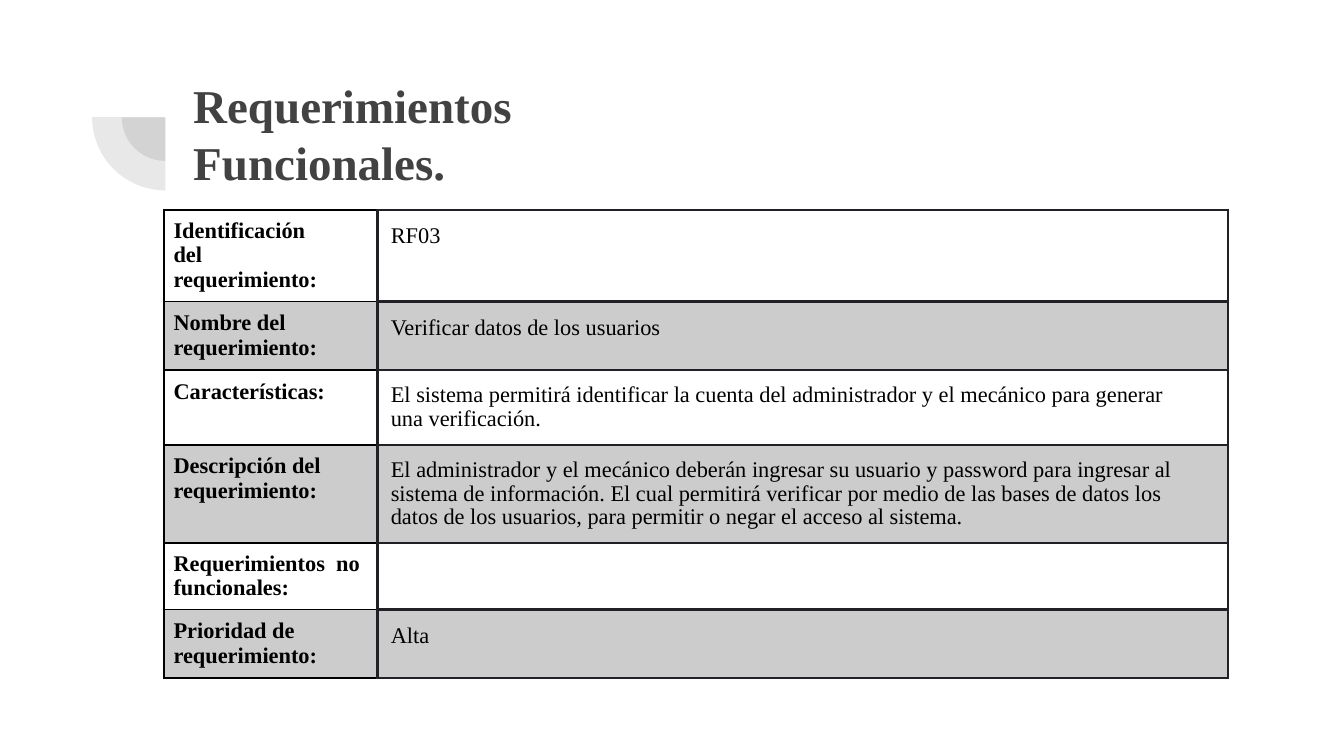
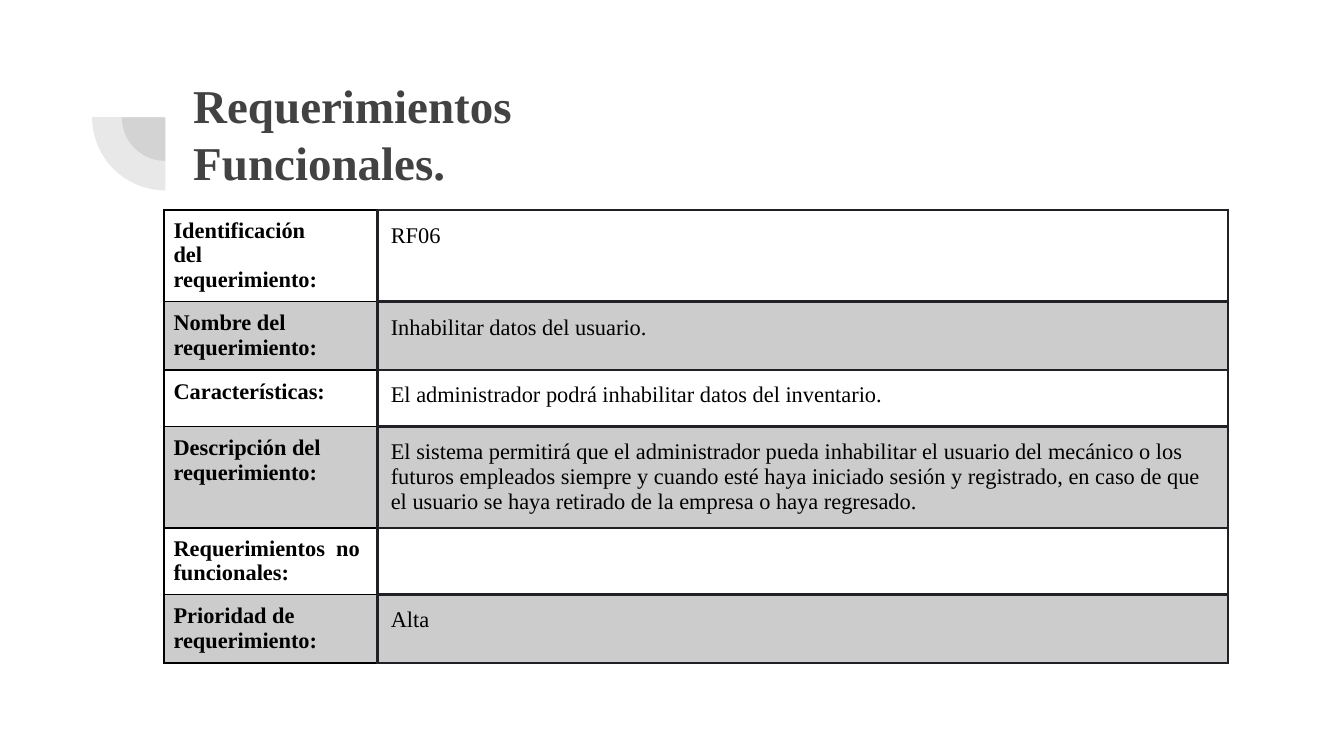
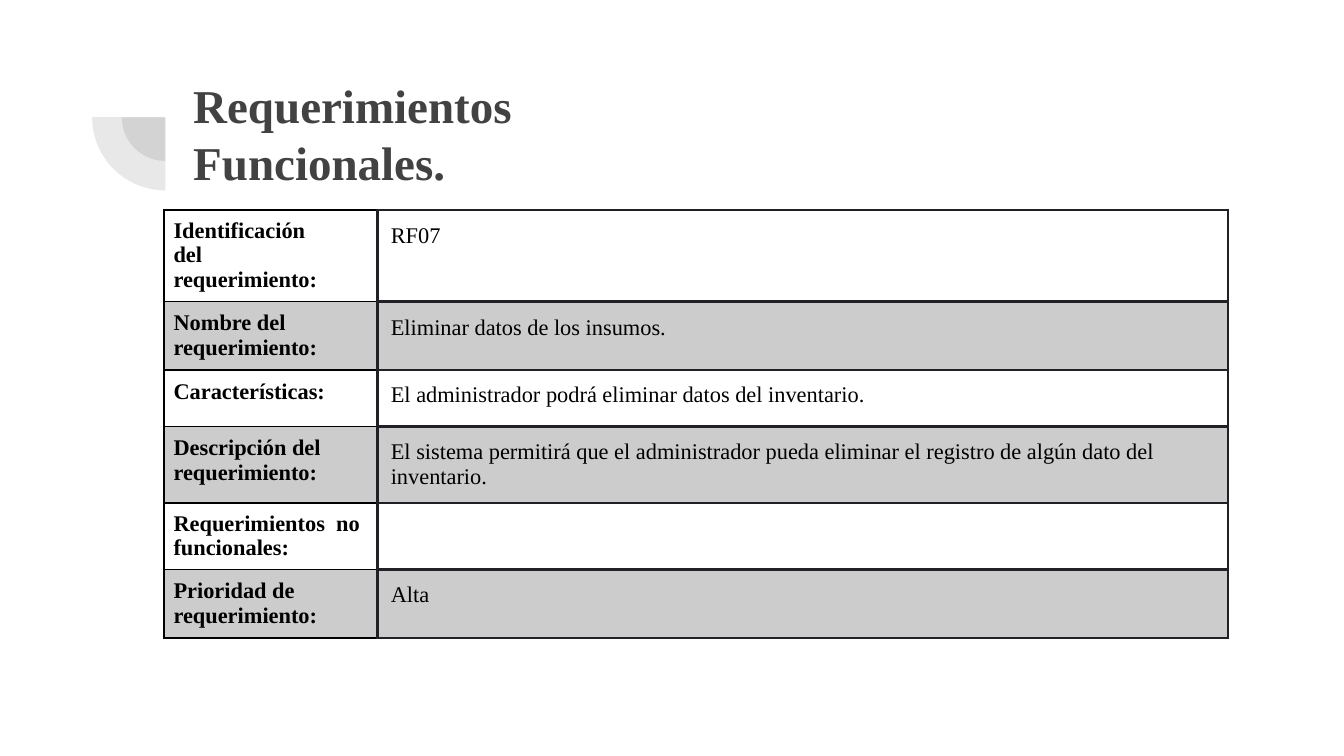
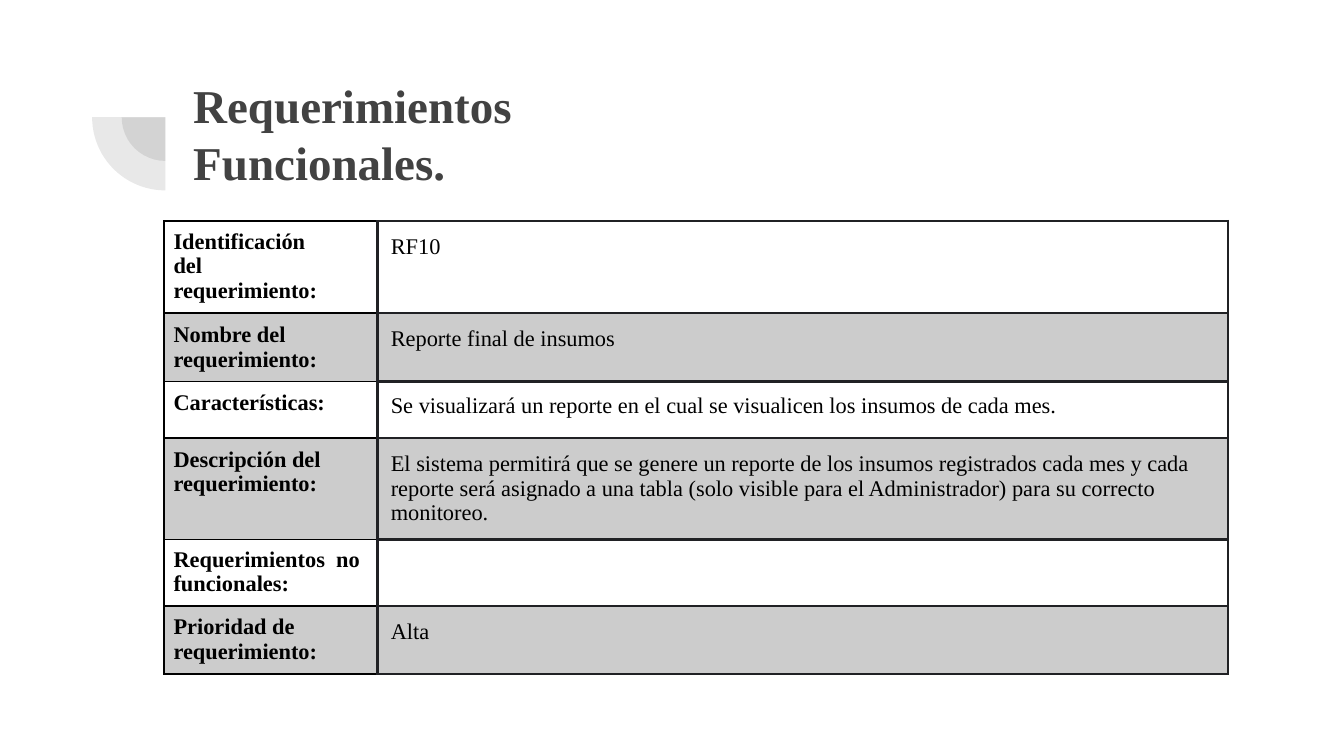
from lxml import etree
from pptx import Presentation
from pptx.dml.color import RGBColor
from pptx.enum.shapes import MSO_SHAPE
from pptx.enum.text import MSO_ANCHOR, MSO_AUTO_SIZE, PP_ALIGN
from pptx.oxml.ns import qn
from pptx.util import Pt

COLORS = {"title": "424242", "text": "000000", "band": "CCCCCC",
          "outer": "000000", "inner": "202124"}
FONT = "Times New Roman"
TITLE = ["Requerimientos", "Funcionales."]
TIGHT = 0.96

# Paragraphs of each row label
LABELS = [
    ["Identificación  del", "requerimiento:"],
    ["Nombre del", "requerimiento:"],
    ["Características:"],
    ["Descripción del  requerimiento:"],
    ["Requerimientos  no funcionales:"],
    ["Prioridad de", "requerimiento:"],
]

# Table top, then the value of each row
REQUIREMENTS = [
    (112.4, ["RF03", "Verificar datos de los usuarios",
             "El sistema permitirá identificar la cuenta del administrador y el mecánico "
             "para generar una verificación.",
             "El administrador y el mecánico deberán ingresar su usuario y password para "
             "ingresar al sistema de información. El cual permitirá verificar por medio de "
             "las bases de datos los datos de los usuarios, para permitir o negar el acceso "
             "al sistema.",
             "", "Alta"]),
    (112.4, ["RF06", "Inhabilitar datos del usuario.",
             "El administrador podrá inhabilitar datos del inventario.",
             "El sistema permitirá que el administrador pueda inhabilitar el usuario del "
             "mecánico o los futuros empleados siempre y cuando esté haya iniciado sesión y "
             "registrado, en caso de que el usuario se haya retirado de la empresa o haya "
             "regresado.",
             "", "Alta"]),
    (112.4, ["RF07", "Eliminar datos de los insumos.",
             "El administrador podrá eliminar datos del inventario.",
             "El sistema permitirá que el administrador pueda eliminar el registro de algún "
             "dato del inventario.",
             "", "Alta"]),
    (118.5, ["RF10", "Reporte final de insumos",
             "Se visualizará un reporte en el cual se visualicen los insumos de cada mes.",
             "El sistema permitirá que se genere un reporte de los insumos registrados cada "
             "mes y cada reporte será asignado a una tabla (solo visible para el "
             "Administrador) para su correcto  monitoreo.",
             "", "Alta"]),
]


def add_run(p, text, size, color, bold):
    r = p.add_run()
    r.text = text
    r.font.name = FONT
    r.font.size = Pt(size)
    r.font.bold = bold
    r.font.color.rgb = RGBColor.from_string(COLORS[color])


def format_cell(cell, inset, borders, banded):
    """Set margins, fill and the borders, given as {side: (colour, width)}."""
    cell.margin_left = cell.margin_right = Pt(inset)
    cell.margin_top = cell.margin_bottom = Pt(inset)
    tcPr = cell._tc.get_or_add_tcPr()
    for side, (color, width) in borders.items():
        ln = etree.SubElement(tcPr, qn(f"a:ln{side}"), w=str(Pt(width)))
        fill = etree.SubElement(ln, qn("a:solidFill"))
        etree.SubElement(fill, qn("a:srgbClr"), val=COLORS[color])
    if banded:
        cell.fill.solid()
        cell.fill.fore_color.rgb = RGBColor.from_string(COLORS["band"])
    else:
        cell.fill.background()


prs = Presentation()
prs.slide_width, prs.slide_height = Pt(720), Pt(405)
layout = prs.slide_layouts[5]

# Shared title frame
title = layout.placeholders[0]
title.left, title.top, title.width, title.height = Pt(96.3), Pt(33.8), Pt(553.7), Pt(78.5)

outer = {"L": ("outer", 1), "R": ("inner", 1.5), "T": ("outer", 1), "B": ("outer", 1)}
inner = {side: ("inner", 1.5) for side in "LRTB"}

for number, (top, values) in enumerate(REQUIREMENTS):
    slide = prs.slides.add_slide(layout)

    if number == 0:
        # Concentric quarter circles, moved to the layout so every slide shows them
        for size in (46.8, 78.4):
            sp = slide.shapes.add_shape(MSO_SHAPE.PIE, Pt(88.6 - size / 2), Pt(62.8 - size / 2),
                                        Pt(size), Pt(size))
            sp.adjustments[0], sp.adjustments[1] = 107.93, 162
            sp.rotation = 270
            sp.shadow.inherit = False
            sp.line.fill.background()
            sp.fill.solid()
            sp.fill.fore_color.rgb = RGBColor.from_string(COLORS["title"])
            clr = sp.element.spPr.find(qn("a:solidFill"))[0]
            etree.SubElement(clr, qn("a:alpha"), val="12000")
            layout.shapes.element.append(sp.element)

    tf = slide.shapes.title.text_frame
    tf.auto_size = MSO_AUTO_SIZE.NONE
    tf.vertical_anchor = MSO_ANCHOR.TOP
    tf.margin_left = tf.margin_right = tf.margin_top = tf.margin_bottom = Pt(7.2)
    for i, line in enumerate(TITLE):
        p = tf.add_paragraph() if i else tf.paragraphs[0]
        p.alignment = PP_ALIGN.LEFT
        p.space_before = Pt(0)
        add_run(p, line, 25.2, "title", True)

    table = slide.shapes.add_table(len(LABELS), 2, Pt(88), Pt(top),
                                   Pt(569.9), Pt(30.2 * len(LABELS))).table
    table.first_row = table.horz_banding = False
    table.columns[0].width, table.columns[1].width = Pt(114.2), Pt(455.7)

    for row, (label, value) in enumerate(zip(LABELS, values)):
        table.rows[row].height = Pt(30.2)
        label_cell, value_cell = table.cell(row, 0), table.cell(row, 1)
        format_cell(label_cell, 5, outer, row % 2 == 1)
        format_cell(value_cell, 7.2, inner, row % 2 == 1)

        tf = label_cell.text_frame
        for i, line in enumerate(label):
            p = tf.add_paragraph() if i else tf.paragraphs[0]
            if row in (0, 4) and i == 0:
                p.line_spacing = TIGHT
            if row == 0 and i == 0:
                p._p.get_or_add_pPr().set("marR", str(Pt(22)))
            if row == 0 and i == 1:
                p.space_before = Pt(0.3)
            add_run(p, line, 12, "text", True)

        p = value_cell.text_frame.paragraphs[0]
        if value:
            if row == 2 or (row == 3 and number == 0):
                p.line_spacing = TIGHT
                p._p.get_or_add_pPr().set("marR", str(Pt(20)))
            add_run(p, value, 12, "text", False)
        else:
            # Keeps the empty cell from stretching its row
            etree.SubElement(p._p, qn("a:endParaRPr"), sz="1200")

prs.save("out.pptx")
